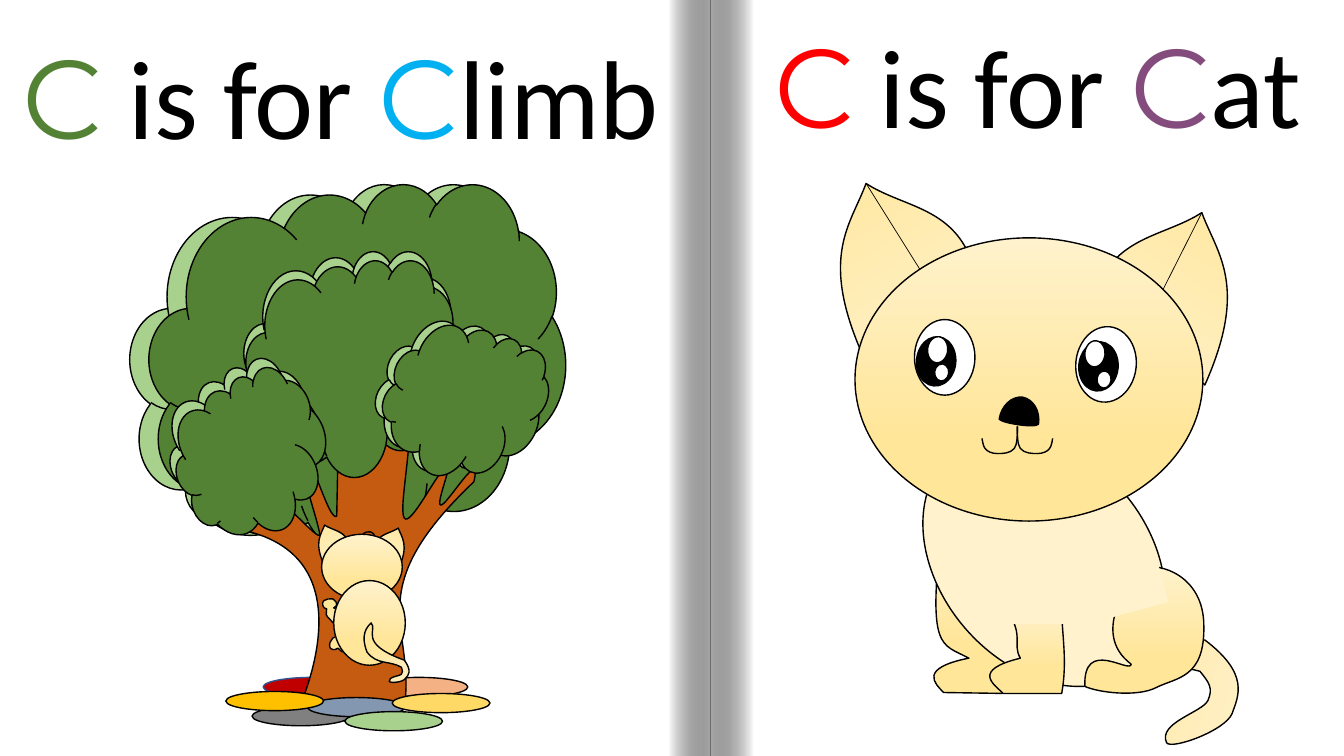
from dataclasses import dataclass
from math import cos, radians, sin
from typing import Any

from lxml import etree
from pptx import Presentation
from pptx.dml.color import RGBColor
from pptx.enum.shapes import MSO_CONNECTOR, MSO_SHAPE
from pptx.enum.text import MSO_ANCHOR, MSO_AUTO_SIZE, PP_ALIGN
from pptx.oxml.ns import qn
from pptx.util import Inches, Pt

OVAL, CLOUD, RECTANGLE = MSO_SHAPE.OVAL, MSO_SHAPE.CLOUD, MSO_SHAPE.RECTANGLE
STRAIGHT = MSO_CONNECTOR.STRAIGHT
BLACK, WHITE = "000000", "FFFFFF"
CREAM, TAN = "FFF2CC", "FFE699"
LIGHT_LEAF, DARK_LEAF, BARK = "A9D18E", "548235", "C55A11"
FUR, EAR_FUR = (CREAM, TAN, 0.71, 270), (TAN, CREAM, 1, 270)
SLIDE_WIDTH, SLIDE_HEIGHT = 13.33, 7.5
FOLD, FOLD_WIDTH = 7.05, 0.42
CURVE_STEPS, UNITS = 12, 1000
HEADING_FRAME = {"word_wrap": True, "vertical_anchor": MSO_ANCHOR.TOP,
                 "auto_size": MSO_AUTO_SIZE.SHAPE_TO_FIT_TEXT}


def color(value):
    """Turn a hex string into a colour."""
    return RGBColor.from_string(value)


def paint(shape, fill, line=BLACK):
    """Give a shape its fill and line; a tuple stands for a gradient."""
    shape.shadow.inherit = False
    if fill is None:
        shape.fill.background()
    elif isinstance(fill, tuple):
        start, end, position, angle = fill
        shape.fill.gradient()
        shape.fill.gradient_angle = angle
        first, last = shape.fill.gradient_stops
        first.color.rgb, last.color.rgb = color(start), color(end)
        first.position, last.position = 0, position
    else:
        shape.fill.solid()
        shape.fill.fore_color.rgb = color(fill)
    if line is None:
        shape.line.fill.background()
    else:
        shape.line.color.rgb = color(line)
        shape.line.width = Pt(1)


def turn(x, y, degrees):
    """Turn a point clockwise around the zero point."""
    angle = radians(degrees)
    return x * cos(angle) - y * sin(angle), x * sin(angle) + y * cos(angle)


def flatten(steps):
    """List the points along steps that hold one point or a cubic curve."""
    points = list(steps[0])
    for step in steps[1:]:
        if len(step) == 1:
            points += step
            continue
        corners = [points[-1], *step]
        for index in range(1, CURVE_STEPS + 1):
            t = index / CURVE_STEPS
            weights = ((1 - t) ** 3, 3 * t * (1 - t) ** 2, 3 * t * t * (1 - t), t ** 3)
            points.append(tuple(sum(w * corner[axis] for w, corner in zip(weights, corners))
                                for axis in (0, 1)))
    return points


def bend(shape, steps, left, top, close):
    """Write the steps into a free shape as true lines and curves."""
    outline = shape.element.find(".//" + qn("a:path"))
    for child in list(outline):
        outline.remove(child)
    for index, step in enumerate(steps):
        tag = "a:cubicBezTo" if len(step) == 3 else "a:lnTo" if index else "a:moveTo"
        command = etree.SubElement(outline, qn(tag))
        for x, y in step:
            etree.SubElement(command, qn("a:pt"), x=str(round(x - left)), y=str(round(y - top)))
    if close:
        etree.SubElement(outline, qn("a:close"))


@dataclass
class Region:
    """A part of the slide whose shapes are placed from its top left corner."""
    shapes: Any
    left: float
    top: float

    def preset(self, kind, left, top, width, height, fill, rotation=0, line=BLACK):
        """Add a preset shape."""
        shape = self.shapes.add_shape(kind, Inches(self.left + left), Inches(self.top + top),
                                      Inches(width), Inches(height))
        shape.rotation = rotation
        paint(shape, fill, line)
        return shape

    def outline(self, path, fill, rotation=0, left=0, top=0, scale=1, side=1, close=True):
        """Add a curved outline whose box is rotated; a side of -1 mirrors it."""
        size = UNITS * scale
        steps = [[turn(size * side * float(x), size * float(y), -rotation)
                  for x, y in (point.split(",") for point in step.split())]
                 for step in path.split(";")]
        points = flatten(steps)
        low_x, low_y = map(min, zip(*points))
        high_x, high_y = map(max, zip(*points))
        builder = self.shapes.build_freeform(*points[0], scale=Inches(1) / UNITS)
        builder.add_line_segments(points[1:], close=close)
        shape = builder.convert_to_shape(Inches(self.left + left), Inches(self.top + top))
        bend(shape, steps, low_x, low_y, close)
        center_x, center_y = (low_x + high_x) / 2, (low_y + high_y) / 2
        turned_x, turned_y = turn(center_x, center_y, rotation)
        shape.left += Inches((turned_x - center_x) / UNITS)
        shape.top += Inches((turned_y - center_y) / UNITS)
        shape.rotation = rotation
        paint(shape, fill)

    def crease(self, start_x, start_y, end_x, end_y):
        """Add a thin straight line."""
        line = self.shapes.add_connector(
            STRAIGHT, Inches(self.left + start_x), Inches(self.top + start_y),
            Inches(self.left + end_x), Inches(self.top + end_y))
        line.line.color.rgb = color(BLACK)
        line.line.width = Pt(0.5)
        etree.SubElement(line.element.spPr, qn("a:effectLst"))


def draw_pages(region):
    """Draw the white paper and shade both sides of the fold."""
    region.preset(RECTANGLE, 0, 0, SLIDE_WIDTH, SLIDE_HEIGHT, WHITE, line=None)
    for left, angle in ((FOLD, 180), (FOLD - FOLD_WIDTH, 0)):
        shade = region.preset(RECTANGLE, left, 0, FOLD_WIDTH, SLIDE_HEIGHT,
                              (WHITE, BLACK, 1, angle), line=None)
        dark_stop = shade.element.xpath(".//a:gs/a:srgbClr")[1]
        etree.SubElement(dark_stop, qn("a:alpha")).set("val", "34000")


def write_heading(shape, box, first_color, second_color, ending):
    """Write one page heading with two coloured initials."""
    shape.left, shape.top, shape.width, shape.height = map(Inches, box)
    for name, value in HEADING_FRAME.items():
        setattr(shape.text_frame, name, value)
    paragraph = shape.text_frame.paragraphs[0]
    paragraph.alignment = PP_ALIGN.CENTER
    for text, font, shade in (("C", "Montserrat", first_color), (" is for ", "Calibri", BLACK),
                              ("C", "Montserrat", second_color), (ending, "Calibri", BLACK)):
        run = paragraph.add_run()
        run.text = text
        run.font.name, run.font.size = font, Pt(80)
        run.font.color.rgb = color(shade)


def draw_ears(region, left_tip, right_tip, scale=1):
    """Draw two mirrored ears from their tips."""
    ear = "-.03,1.71; -.47,.72 -.15,.41 0,0; .34,.22 .78,.23 1,.66; -.03,1.71"
    for tip, side, rotation in ((right_tip, -1, 30.9), (left_tip, 1, 329.1)):
        region.outline(ear, EAR_FUR, rotation, *tip, scale, side)


def draw_face(region):
    """Draw the eyes, nose and mouth of the sitting cat."""
    eye_parts = ((0.6, 0.75, WHITE), (0.39, 0.49, BLACK), (0.2, 0.26, WHITE), (0.14, 0.17, WHITE))
    eyes = (((1.07, 2.17), (1.09, 2.34), (1.2, 2.34), (1.27, 2.61)),
            ((2.67, 2.24), (2.7, 2.39), (2.76, 2.38), (2.88, 2.68)))
    for eye, tilt in zip(eyes, (0, 5.7)):
        for (left, top), (width, height, fill) in zip(eye, eye_parts):
            region.preset(OVAL, left, top, width, height, fill, tilt if height > 0.5 else 5.7)
    region.outline("1.91,3.16; 1.93,3.03 2.03,2.93 2.14,2.94; 2.25,2.96 2.32,3.08 2.3,3.21; "
                   "2.27,3.25 1.94,3.2 1.91,3.16", BLACK, 7.3)
    mouth = ("0,0; 0,.09 0,.18 -.03,.22; -.07,.27 -.15,.27 -.2,.27; "
             "-.25,.27 -.3,.25 -.32,.22; -.34,.2 -.35,.12 -.35,.12")
    for side in (1, -1):
        region.outline(mouth, None, 0, 2.09, 3.23, side=side, close=False)


def draw_sitting_cat(region):
    """Draw the large cat on the right page."""
    region.outline("3.57,6.37; 3.62,6.44 4.15,6.25 4.22,6.08; 4.28,5.91 4.4,5.69 3.95,5.35; "
                   "1.83,5.18 2.55,4.38 2.18,4.17; 2.05,4.37 1.83,4.76 2.34,5.41; "
                   "2.92,5.85 3.32,5.5 3.9,5.66; 4,5.78 4.03,5.83 3.98,5.95; "
                   "3.92,6.07 3.48,6.17 3.57,6.37", FUR, 107)
    region.outline("1.97,5.03; 1.76,4.76 1.67,4.58 1.34,4.23; 1.2,5.46 1.33,5.38 1.61,5.53; "
                   "1.11,5.63 1.27,5.78 1.36,5.87; 1.94,5.88; 2.02,5.56 1.96,5.31 1.97,5.03",
                   FUR, 1.7)
    region.preset(OVAL, 1.32, 3.16, 2.07, 2.79, CREAM, 319.3)
    draw_ears(region, (0.59, 0.82), (3.92, 1.11))
    region.crease(3.92, 1.11, 3.36, 2.22)
    region.crease(0.59, 0.82, 1.36, 2.05)
    region.preset(OVAL, 0.48, 1.36, 3.45, 2.81, FUR)
    region.outline("3.94,5.21; 3.94,4.7 3.48,4.58 3.36,4.64; 3.24,4.7 2.79,5.27 3.22,5.59; "
                   "3.21,5.69 2.74,5.32 2.76,5.81; 2.89,5.87 3.28,5.92 3.47,5.82; "
                   "3.67,5.72 3.95,5.73 3.94,5.21", FUR)
    region.outline("2.53,5.02; 1.95,5.02; 2.18,5.29 2.03,5.38 2.12,5.53; "
                   "1.63,5.65 1.86,5.79 1.95,5.88; 2.53,5.88; 2.59,5.55 2.53,5.3 2.53,5.02", FUR)
    draw_face(region)
    region.preset(RECTANGLE, 1.85, 4.7, 0.83, 0.49, CREAM, line=None)
    region.preset(RECTANGLE, 2.71, 4.6, 0.83, 0.49, CREAM, 344.7, None)


def draw_foliage(region, light, dark, width, height, rotation=0):
    """Draw a cloud of leaves with its lighter rim."""
    for corner, fill in ((light, LIGHT_LEAF), (dark, DARK_LEAF)):
        region.preset(CLOUD, *corner, width, height, fill, rotation)


def draw_pads(region, pads):
    """Draw flat ovals of one size on the ground."""
    for left, top, fill, line in pads:
        region.preset(OVAL, left, top, 0.97, 0.19, fill, line=line)


def draw_tree(region):
    """Draw the tree and the ground around it."""
    draw_pads(region, ((2.67, 5.72, "F4B183", BLACK), (1.61, 5.72, "C00000", "325491")))
    draw_foliage(region, (0.29, 0.82), (0.48, 0.82), 4.13, 3.7)
    region.outline("2.36,3.1; 3.01,3.1; 3.15,3.15 2.94,4.05 3.01,4.14; 3.07,4.23 3.33,3.7 3.42,3.63; "
                   "3.51,3.56 3.32,3.99 3.37,4.01; 3.42,4.04 3.79,3.4 3.7,3.78; "
                   "2.54,4.88 3.13,5.22 3.01,6.01; 1.98,6.01; 1.93,6.06 2.7,4.54 1.41,4.26; "
                   "1.34,3.92 1.49,3.97 1.59,3.97; 1.62,3.68 2.2,4.45 2.17,4.29; "
                   "2.14,4.12 1.91,3.45 1.97,3.46; 2.06,3.39 2.26,4.19 2.34,4.12; 2.36,3.1", BARK)
    draw_foliage(region, (1.42, 1.49), (1.44, 1.58), 2.1, 2.15)
    region.outline("2.4,4.65; 2.5,4.41 2.61,4.2 2.71,4.3; 2.75,4.58 2.68,4.67 2.67,4.85; "
                   "2.53,4.93 2.49,4.83 2.4,4.65", None)
    draw_foliage(region, (2.77, 2.17), (2.84, 2.21), 1.53, 1.56, 26.5)
    draw_foliage(region, (0.67, 2.66), (0.73, 2.75), 1.53, 1.56, 338.5)
    draw_pads(region, ((1.5, 6.01, "808080", BLACK), (2.05, 5.92, "8497B0", BLACK),
                       (2.42, 6.06, LIGHT_LEAF, BLACK), (2.89, 5.88, "FFD966", BLACK),
                       (1.24, 5.86, "FFC000", BLACK)))


def draw_climbing_cat(region):
    """Draw the small cat on the trunk, seen from behind."""
    region.outline(".42,1.47; .48,1.45 .52,1.45 .6,1.42; .38,1.33 .42,1.33 .38,1.37; "
                   ".39,1.29 .32,1.32 .3,1.33; .28,1.36 .26,1.38 .27,1.42; "
                   ".27,1.44 .32,1.46 .35,1.43; .38,1.44 .38,1.48 .42,1.47", FUR, 108.5)
    region.outline(".25,1.12; .29,1.16 .31,1.19 .38,1.25; .34,1.01 .36,1.05 .31,1.03; "
                   ".38,.99 .31,.95 .3,.94; .26,.94 .24,.94 .21,.96; "
                   ".19,.98 .2,1.04 .24,1.04; .25,1.07 .22,1.09 .25,1.12", FUR, 166.5)
    draw_ears(region, (0.22, 0.21), (0.95, 0.24), 0.23)
    region.preset(OVAL, 0.19, 0.3, 0.8, 0.65, FUR)
    region.preset(RECTANGLE, 0.67, 1.06, 0.19, 0.12, CREAM, 344.7, None)
    region.preset(OVAL, 0.31, 0.76, 0.71, 0.84, FUR)
    region.outline(".86,1.76; .87,1.78 1,1.77 1.02,1.73; 1.05,1.7 1.09,1.66 1.01,1.55; "
                   ".54,1.38 .75,1.25 .68,1.18; .64,1.22 .57,1.29 .64,1.47; "
                   ".74,1.6 .86,1.55 .98,1.62; .99,1.65 1,1.67 .98,1.69; "
                   ".96,1.71 .85,1.71 .86,1.76", FUR, 122.1)


def main():
    """Build the two-page spread."""
    presentation = Presentation()
    presentation.slide_width, presentation.slide_height = Inches(SLIDE_WIDTH), Inches(SLIDE_HEIGHT)
    slide = presentation.slides.add_slide(presentation.slide_layouts[5])
    slide.background.fill.solid()
    slide.background.fill.fore_color.rgb = color(BLACK)
    shapes = slide.shapes
    title = shapes.title
    draw_pages(Region(shapes, 0, 0))
    draw_sitting_cat(Region(shapes, 8, 1))
    write_heading(shapes.add_textbox(0, 0, 0, 0), (7.15, 0.11, 6.28, 1.45), "FF0000", "844C7D", "at")
    draw_tree(Region(shapes, 1, 1))
    draw_climbing_cat(Region(shapes, 3, 5))
    write_heading(title, (0.04, 0.22, 6.68, 1.45), DARK_LEAF, "00B0F0", "limb")
    title.element.getparent().append(title.element)
    presentation.save("out.pptx")


if __name__ == "__main__":
    main()
